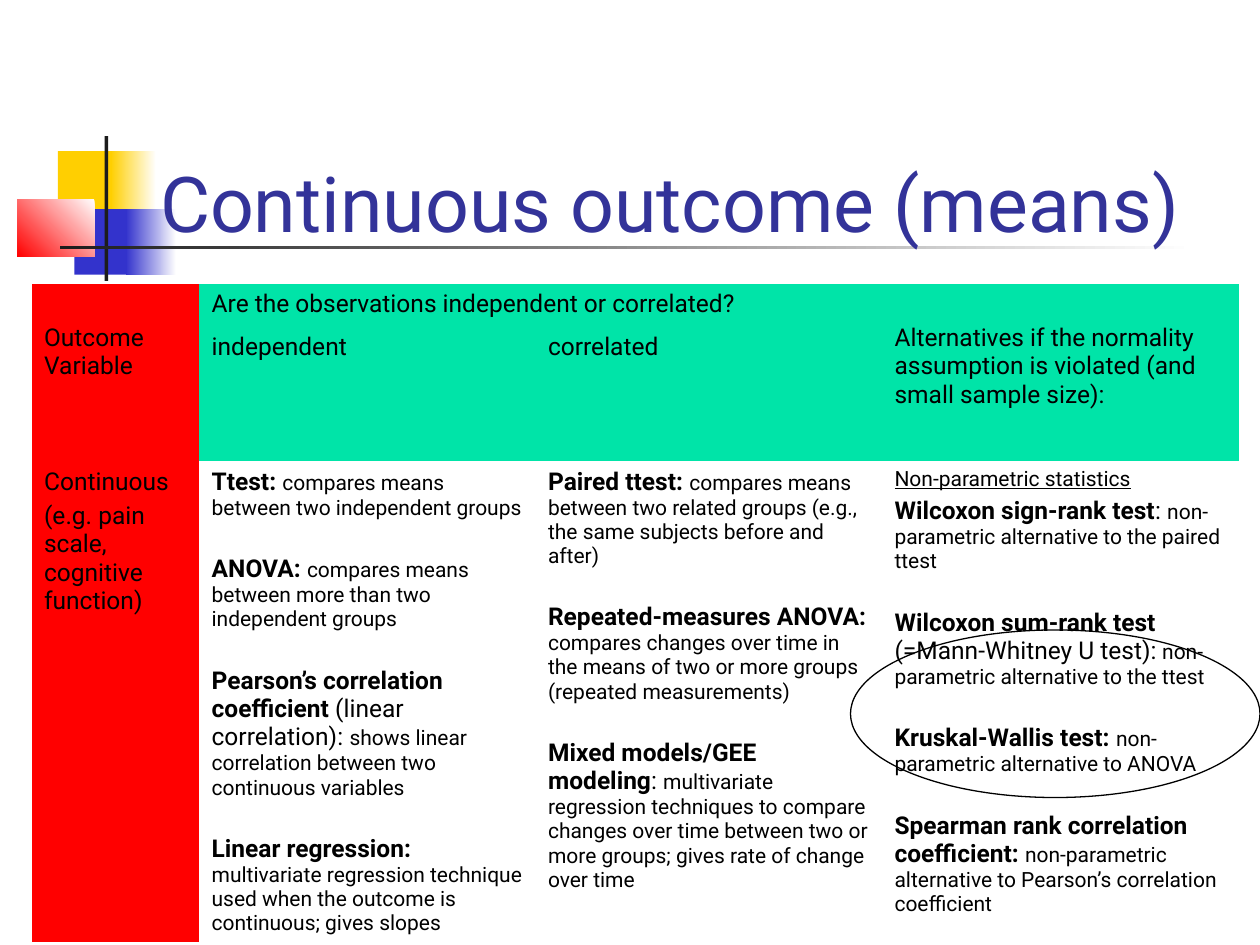
from pptx import Presentation
from pptx.dml.color import RGBColor
from pptx.enum.shapes import MSO_SHAPE as Shape
from pptx.enum.text import MSO_ANCHOR as Anchor, PP_ALIGN as Align
from pptx.oxml.ns import qn
from pptx.util import Inches, Pt

FONT = "Roboto"
BLACK, WHITE, DARK = "000000", "FFFFFF", "1C1C1C"
RED, GREEN, GOLD, BLUE, NAVY = "FF0000", "00E4A8", "FFCF01", "3333CC", "333399"
NO_GRID = "{2D5ABB26-0587-4C30-8999-92F81FD0307C}"

# Each test is (bold name, remark at the same size, smaller explanation).
INDEP = [
    ("Ttest: ", "", "compares means between two independent groups"),
    ("ANOVA: ", "", "compares means between more than two independent groups"),
    ("Pearson’s correlation coefficient", " (linear correlation): ",
     "shows linear correlation between two continuous variables"),
    ("Linear regression: ", "", "multivariate regression technique used when "
     "the outcome is continuous; gives slopes"),
]
CORREL = [
    ("Paired ttest: ", "", "compares means between two related groups "
     "(e.g., the same subjects before and after)"),
    ("Repeated-measures ANOVA: ", "", "compares changes over time in the means "
     "of two or more groups (repeated measurements)"),
    ("Mixed models/GEE modeling", ": ", "multivariate regression techniques to "
     "compare changes over time between two or more groups; gives rate of "
     "change over time"),
]
NONPAR = [
    ("Wilcoxon sign-rank test", ": ",
     "non-parametric alternative to the paired ttest"),
    ("Wilcoxon sum-rank test", " (=Mann-Whitney U test):",
     " non-parametric alternative to the ttest"),
    ("Kruskal-Wallis test: ", "", "non-parametric alternative to ANOVA"),
    ("Spearman rank correlation coefficient: ", "",
     "non-parametric alternative to Pearson’s correlation coefficient"),
]


def rgb(code):
    return RGBColor.from_string(code)


def write(par, text, size=14, color=BLACK, bold=False, under=False):
    run = par.add_run()
    run.text = text
    font = run.font
    font.name, font.size, font.bold, font.underline = FONT, Pt(size), bold, under
    font.color.rgb = rgb(color)


def next_par(frame, before=3.5):
    """Return the empty first paragraph, or a new one."""
    par = frame.paragraphs[0]
    if par.runs:
        par = frame.add_paragraph()
    par.line_spacing = 0.98
    par.space_before = Pt(before)
    return par


def block(slide, box, color, angle=None):
    """Add a plain rectangle, or one that fades from white at an angle."""
    shape = slide.shapes.add_shape(Shape.RECTANGLE, *map(Inches, box))
    shape.shadow.inherit = False
    shape.line.fill.background()
    fill = shape.fill
    if angle is None:
        fill.solid()
        fill.fore_color.rgb = rgb(color)
        return
    fill.gradient()
    fill.gradient_angle = angle
    for stop, place, code in zip(fill.gradient_stops, (0, 1), (WHITE, color)):
        stop.position = place
        stop.color.rgb = rgb(code)


def add_motif(slide, left, top):
    for x, y, wide, high, color, angle in [
        (0.32, 0.12, 0.48, 0.52, GOLD, None),
        (0.74, 0.12, 0.36, 0.52, GOLD, 180),
        (0.45, 0.58, 0.46, 0.52, BLUE, None),
        (0.86, 0.58, 0.4, 0.52, BLUE, 180),
        (0, 0.5, 0.61, 0.46, RED, 225),
        (0.69, 0, 0.03, 1.15, DARK, None),
        (0.34, 0.87, 9, 0.03, DARK, 180),
    ]:
        block(slide, (left + x, top + y, wide, high), color, angle)


def add_title(slide, box, text):
    title = slide.shapes.title
    title.left, title.top, title.width, title.height = map(Inches, box)
    frame = title.text_frame
    frame.vertical_anchor = Anchor.BOTTOM
    par = frame.paragraphs[0]
    par.alignment = Align.LEFT
    write(par, text, size=44, color=NAVY)
    slide.shapes.element.append(title.element)  # in front of the motif


def fill_tests(cell, tests, head=None):
    frame = cell.text_frame
    if head:
        write(next_par(frame, 3), head, size=12, under=True)
    for i, (name, remark, about) in enumerate(tests):
        par = next_par(frame, 20 if i else 3)
        write(par, name, bold=True)
        if remark:
            write(par, remark)
        write(par, about, size=12)


def add_grid(slide, left, top, cols, rows):
    size = (left, top, sum(cols), sum(rows))
    item = slide.shapes.add_table(len(rows), len(cols), *map(Inches, size))
    for style in item.element.iter(qn("a:tableStyleId")):
        style.text = NO_GRID
    grid = item.table
    grid.first_row = grid.horz_banding = False
    for col, wide in zip(grid.columns, cols):
        col.width = Inches(wide)
    for row, high in zip(grid.rows, rows):
        row.height = Inches(high)
    for r in range(len(rows)):
        for c in range(len(cols)):
            fill = grid.cell(r, c).fill
            if c and r == 2:
                fill.background()
            else:
                fill.solid()
                fill.fore_color.rgb = rgb(GREEN if c else RED)

    for start, end in [((0, 0), (1, 0)), ((0, 1), (0, 2)), ((0, 3), (1, 3))]:
        grid.cell(*start).merge(grid.cell(*end))
    for r, c, *lines in [
        (0, 0, "Outcome Variable"),
        (0, 1, "Are the observations independent or correlated?"),
        (0, 3, "Alternatives if the normality assumption is violated "
               "(and small sample size):"),
        (1, 1, "independent"),
        (1, 2, "correlated"),
        (2, 0, "Continuous", "(e.g. pain scale, cognitive function)"),
    ]:
        for line in lines:
            write(next_par(grid.cell(r, c).text_frame), line)
    for c in (0, 3):
        grid.cell(0, c).margin_top = Inches(0.32)
    fill_tests(grid.cell(2, 1), INDEP)
    fill_tests(grid.cell(2, 2), CORREL)
    fill_tests(grid.cell(2, 3), NONPAR, head="Non-parametric statistics")


def add_ring(slide, box):
    ring = slide.shapes.add_shape(Shape.OVAL, *map(Inches, box))
    ring.shadow.inherit = False
    ring.fill.background()
    ring.line.color.rgb = rgb(BLACK)
    ring.line.width = Pt(0.75)


def main():
    deck = Presentation()
    deck.slide_width, deck.slide_height = Inches(10), Inches(7.5)
    slide = deck.slides.add_slide(deck.slide_layouts[5])
    add_motif(slide, 0.14, 1.08)
    add_title(slide, (1.17, 0.42, 8.52, 1.6), "Continuous outcome (means)")
    add_grid(slide, 0.25, 2.25, (1.33, 2.67, 2.75, 2.83), (0.34, 1.07, 3.82))
    add_ring(slide, (6.75, 5, 3.25, 1.33))
    deck.save("out.pptx")


if __name__ == "__main__":
    main()
